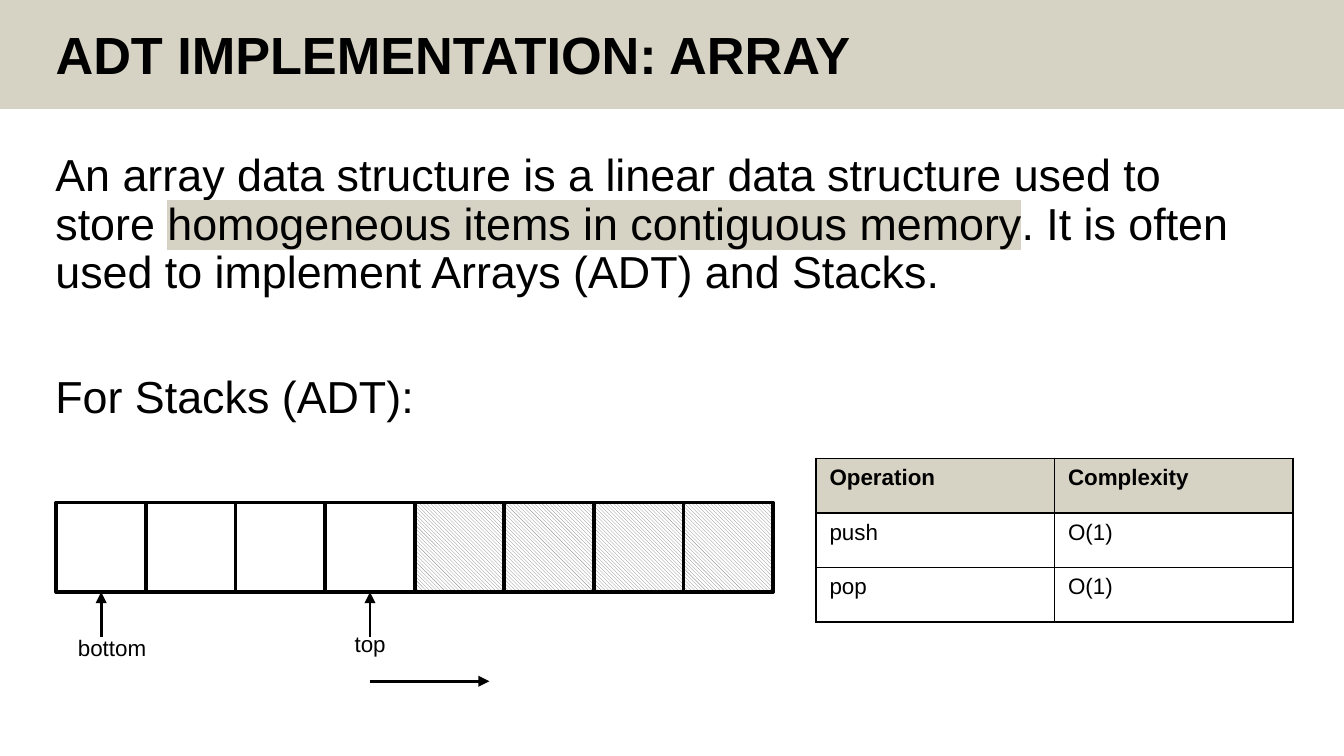
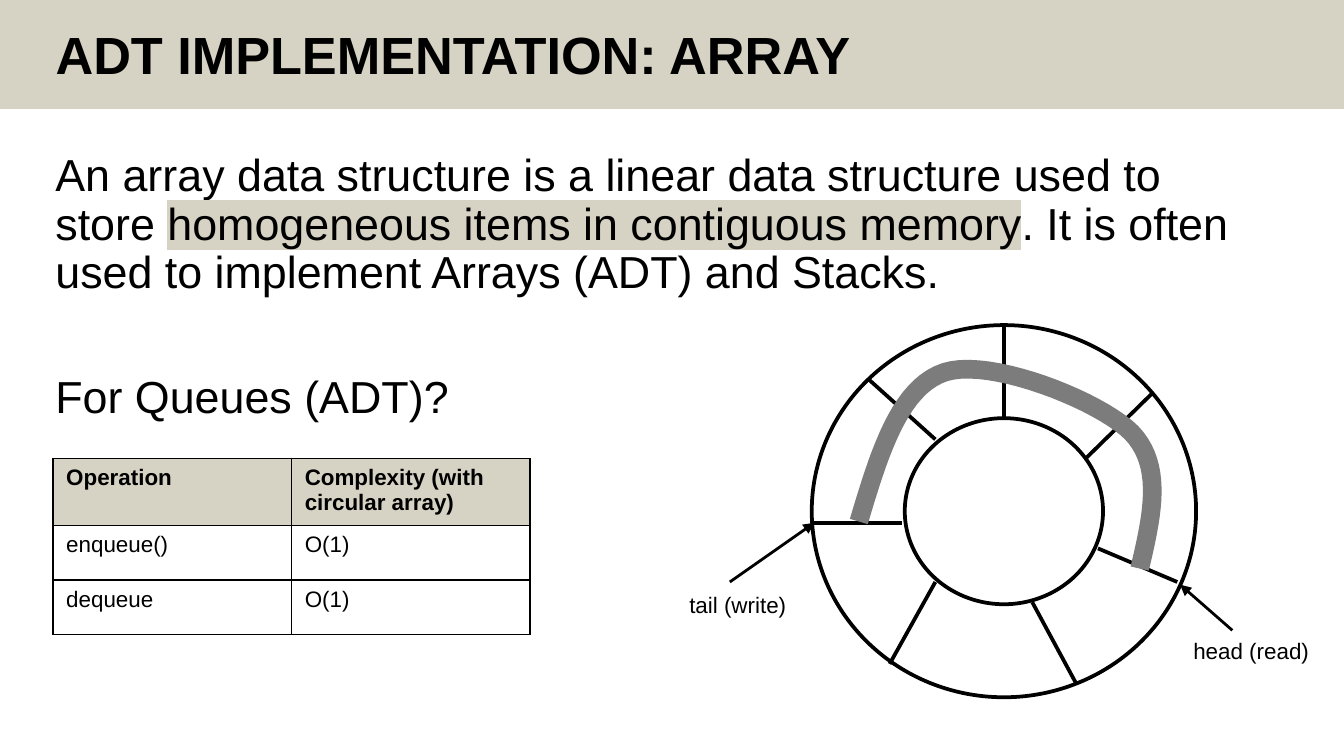
"""Build two slides on array implementations of stacks and queues."""
from dataclasses import dataclass
from typing import NamedTuple

from lxml import etree
from pptx import Presentation
from pptx import util as u
from pptx.dml.color import RGBColor
from pptx.enum import dml, shapes, text
from pptx.oxml.ns import qn

Pt = u.Pt


@dataclass(frozen=True)
class Theme:
    """Colours, font, type sizes and line widths."""
    font: str = "Arial"
    ink: RGBColor = RGBColor(0, 0, 0)
    paper: RGBColor = RGBColor(255, 255, 255)
    sand: RGBColor = RGBColor(0xD6, 0xD2, 0xC4)
    hatch: RGBColor = RGBColor(0x80, 0x80, 0x80)
    trail: RGBColor = RGBColor(0x7C, 0x7C, 0x7C)
    title: float = 28
    body: float = 24
    small: float = 12
    outline: float = 2
    arrow: float = 1.5
    border: float = 1
    trail_width: float = 10
    leading: float = 0.9


class Point(NamedTuple):
    """A place on the slide in points."""
    x: float
    y: float


class Segment(NamedTuple):
    """A straight line between two points."""
    start: Point
    end: Point


class Label(NamedTuple):
    """A short caption and its box."""
    text: str
    left: float
    top: float
    width: float


class Operations(NamedTuple):
    """A table of operations and their complexity."""
    left: float
    header_height: float
    rows: list[tuple[str, str]]


T = Theme()
WIDTH, HEIGHT = 720, 405
TITLE = "ADT IMPLEMENTATION: ARRAY"
INTRO = [
    "An array data structure is a linear data structure used to store ",
    "homogeneous items in contiguous memory",
    ". It is often used to implement Arrays (ADT) and Stacks.",
]
TABLE_TOP, ROW_HEIGHT, COLUMN_WIDTH = 245.6, 29.2, 127.8
LABEL_HEIGHT = 21.6

STACK_TABLE = Operations(437.2, ROW_HEIGHT, [
    ("Operation", "Complexity"), ("push", "O(1)"), ("pop", "O(1)")])
QUEUE_TABLE = Operations(28.3, 36, [
    ("Operation", "Complexity (with circular array)"),
    ("enqueue()", "O(1)"), ("dequeue", "O(1)")])

CELL_LEFT, CELL_TOP, CELL_SIZE = 30.2, 269.2, 48
CELLS, USED = 8, 4
MARKER_BASE, GROWTH_Y, GROWTH_LENGTH = 341.3, 365, 64
STACK_LABELS = {0: Label("bottom", 34.6, 336.2, 51.8),
                USED - 1: Label("top", 182.9, 334.1, 31.7)}

RING = (434.9, 174.2, 205.9, 199.4)
SPOKES = [
    Segment(Point(537.8, 174.2), Point(537.8, 224.6)),
    Segment(Point(465.1, 203), Point(501.1, 235.4)),
    Segment(Point(436.3, 280.1), Point(483.1, 280.1)),
    Segment(Point(553, 322.6), Point(576.7, 366.5)),
    Segment(Point(501.1, 311.8), Point(476.6, 355.7)),
    Segment(Point(617.8, 210.2), Point(581.8, 245.5)),
    Segment(Point(630.7, 311.8), Point(588.2, 293.8)),
]
POINTERS = [
    (Label("tail (write)", 362.2, 313.2, 67),
     Segment(Point(391, 311.8), Point(436.3, 280.1))),
    (Label("head (read)", 632.2, 337.7, 77),
     Segment(Point(660.2, 337.7), Point(632.2, 313.2))),
]
TRAIL = [
    Point(460.1, 279.4),
    Point(470.9, 243.4), Point(481.7, 207.4), Point(506.2, 199.4),
    Point(530.6, 191.5), Point(589, 214.6), Point(606.2, 231.8),
    Point(623.5, 249.8), Point(617, 277.2), Point(610.6, 304.6),
]
CURVE_STEPS = 20


def style(p, size: float, bold: bool = False) -> None:
    """Format every run of a paragraph."""
    for r in p.runs:
        r.font.name = T.font
        r.font.size = Pt(size)
        r.font.bold = bold
        r.font.color.rgb = T.ink


def outline(sp) -> None:
    """Give a shape the standard outline and no shadow."""
    sp.shadow.inherit = False
    sp.line.color.rgb = T.ink
    sp.line.width = Pt(T.outline)


def highlight(r) -> None:
    """Mark a run with the sand colour."""
    mark = etree.Element(qn("a:highlight"))
    etree.SubElement(mark, qn("a:srgbClr"), val=str(T.sand))
    r.font.fill
    r._r.rPr.find(qn("a:solidFill")).addnext(mark)


def add_line(s, seg: Segment, width: float, arrow: bool = False):
    """Draw a straight line, with an arrowhead at its end if asked."""
    c = s.shapes.add_connector(
        shapes.MSO_CONNECTOR.STRAIGHT,
        Pt(seg.start.x), Pt(seg.start.y), Pt(seg.end.x), Pt(seg.end.y))
    c.line.color.rgb = T.ink
    c.line.width = Pt(width)
    props = c.element.spPr
    if arrow:
        etree.SubElement(props.find(qn("a:ln")), qn("a:tailEnd"), type="triangle")
    etree.SubElement(props, qn("a:effectLst"))
    return c


def add_label(s, label: Label) -> None:
    """Write a caption on one line."""
    sp = s.shapes.add_textbox(Pt(label.left), Pt(label.top),
                              Pt(label.width), Pt(LABEL_HEIGHT))
    tf = sp.text_frame
    tf.text = label.text
    tf.word_wrap = False
    style(tf.paragraphs[0], T.small)


def add_border(cell) -> None:
    """Rule all four sides of a table cell."""
    props = cell._tc.get_or_add_tcPr()
    for i, side in enumerate(("lnL", "lnR", "lnT", "lnB")):
        ln = etree.Element(qn(f"a:{side}"), w=str(Pt(T.border)))
        fill = etree.SubElement(ln, qn("a:solidFill"))
        etree.SubElement(fill, qn("a:srgbClr"), val=str(T.ink))
        props.insert(i, ln)


def add_operations(s, ops: Operations) -> None:
    """Draw a table of operations."""
    heights = [ops.header_height] + [ROW_HEIGHT] * (len(ops.rows) - 1)
    columns = len(ops.rows[0])
    table = s.shapes.add_table(
        len(ops.rows), columns, Pt(ops.left), Pt(TABLE_TOP),
        Pt(columns * COLUMN_WIDTH), Pt(sum(heights))).table
    table.horz_banding = False
    for column in table.columns:
        column.width = Pt(COLUMN_WIDTH)
    for i, (values, height) in enumerate(zip(ops.rows, heights)):
        table.rows[i].height = Pt(height)
        for j, value in enumerate(values):
            cell = table.cell(i, j)
            cell.text = value
            style(cell.text_frame.paragraphs[0], T.small, bold=i == 0)
            if i == 0:
                cell.fill.solid()
                cell.fill.fore_color.rgb = T.sand
            else:
                cell.fill.background()
            add_border(cell)


def add_slide(prs, question: str):
    """Add a slide with its band, title and introduction."""
    s = prs.slides.add_slide(prs.slide_layouts[5])
    band = s.shapes.add_shape(shapes.MSO_SHAPE.RECTANGLE, 0, 0, Pt(WIDTH), Pt(58.3))
    band.shadow.inherit = False
    band.fill.solid()
    band.fill.fore_color.rgb = T.sand
    band.line.fill.background()

    sp = s.shapes.title
    sp.element.addprevious(band.element)
    sp.left, sp.top, sp.width, sp.height = Pt(22.6), Pt(11.5), Pt(554.4), Pt(38.2)
    tf = sp.text_frame
    tf.text = TITLE
    tf.auto_size = text.MSO_AUTO_SIZE.NONE
    tf.vertical_anchor = text.MSO_ANCHOR.MIDDLE
    p = tf.paragraphs[0]
    p.alignment = text.PP_ALIGN.LEFT
    p.line_spacing = T.leading
    style(p, T.title, bold=True)

    tf = s.shapes.add_textbox(Pt(22.6), Pt(78.5), Pt(658), Pt(295)).text_frame
    tf.word_wrap = True
    p = tf.paragraphs[0]
    for part in INTRO:
        p.add_run().text = part
    p2 = tf.add_paragraph()
    p2.text = question
    p2.space_before = Pt(40.75)
    for paragraph in (p, p2):
        paragraph.line_spacing = T.leading
        style(paragraph, T.body)
    highlight(p.runs[1])
    return s


def add_stack(s) -> None:
    """Draw the row of memory cells with its bottom and top markers."""
    for i in range(CELLS):
        left = CELL_LEFT + i * CELL_SIZE
        middle = left + CELL_SIZE / 2
        sp = s.shapes.add_shape(shapes.MSO_SHAPE.RECTANGLE, Pt(left), Pt(CELL_TOP),
                                Pt(CELL_SIZE), Pt(CELL_SIZE))
        outline(sp)
        if i < USED:
            sp.fill.background()
        else:
            sp.fill.patterned()
            sp.fill.pattern = dml.MSO_PATTERN.DARK_DOWNWARD_DIAGONAL
            sp.fill.fore_color.rgb = T.hatch
            sp.fill.back_color.rgb = T.paper
        if i in STACK_LABELS:
            add_label(s, STACK_LABELS[i])
            marker = Segment(Point(middle, MARKER_BASE),
                             Point(middle, CELL_TOP + CELL_SIZE))
            add_line(s, marker, T.arrow, arrow=True).end_connect(sp, 2)
    top = CELL_LEFT + (USED - 0.5) * CELL_SIZE
    growth = Segment(Point(top, GROWTH_Y), Point(top + GROWTH_LENGTH, GROWTH_Y))
    add_line(s, growth, T.arrow, arrow=True)


def bezier(a: Point, b: Point, c: Point, d: Point, t: float) -> Point:
    """Return the point at t on a cubic curve."""
    weights = ((1 - t) ** 3, 3 * t * (1 - t) ** 2, 3 * t * t * (1 - t), t ** 3)
    return Point(*(sum(w * v for w, v in zip(weights, axis))
                   for axis in zip(a, b, c, d)))


def add_trail(s) -> None:
    """Draw the curved trail over the cells in use."""
    points = [bezier(*TRAIL[i:i + 4], step / CURVE_STEPS)
              for i in range(0, len(TRAIL) - 1, 3)
              for step in range(1, CURVE_STEPS + 1)]
    builder = s.shapes.build_freeform(Pt(TRAIL[0].x), Pt(TRAIL[0].y))
    builder.add_line_segments([(Pt(q.x), Pt(q.y)) for q in points], close=False)
    sp = builder.convert_to_shape()
    outline(sp)
    sp.fill.background()
    sp.line.color.rgb = T.trail
    sp.line.width = Pt(T.trail_width)


def add_queue(s) -> None:
    """Draw the circular array with its head and tail pointers."""
    ring = s.shapes.add_shape(shapes.MSO_SHAPE.DONUT, *(Pt(v) for v in RING))
    outline(ring)
    ring.fill.background()
    for spoke in SPOKES:
        add_line(s, spoke, T.outline)
    for label, pointer in POINTERS:
        add_label(s, label)
        add_line(s, pointer, T.arrow, arrow=True)
    add_trail(s)


def main() -> None:
    """Build and save the presentation."""
    prs = Presentation()
    prs.slide_width, prs.slide_height = Pt(WIDTH), Pt(HEIGHT)
    s = add_slide(prs, "For Stacks (ADT):")
    add_operations(s, STACK_TABLE)
    add_stack(s)
    s = add_slide(prs, "For Queues (ADT)?")
    add_queue(s)
    add_operations(s, QUEUE_TABLE)
    prs.save("out.pptx")


if __name__ == "__main__":
    main()
